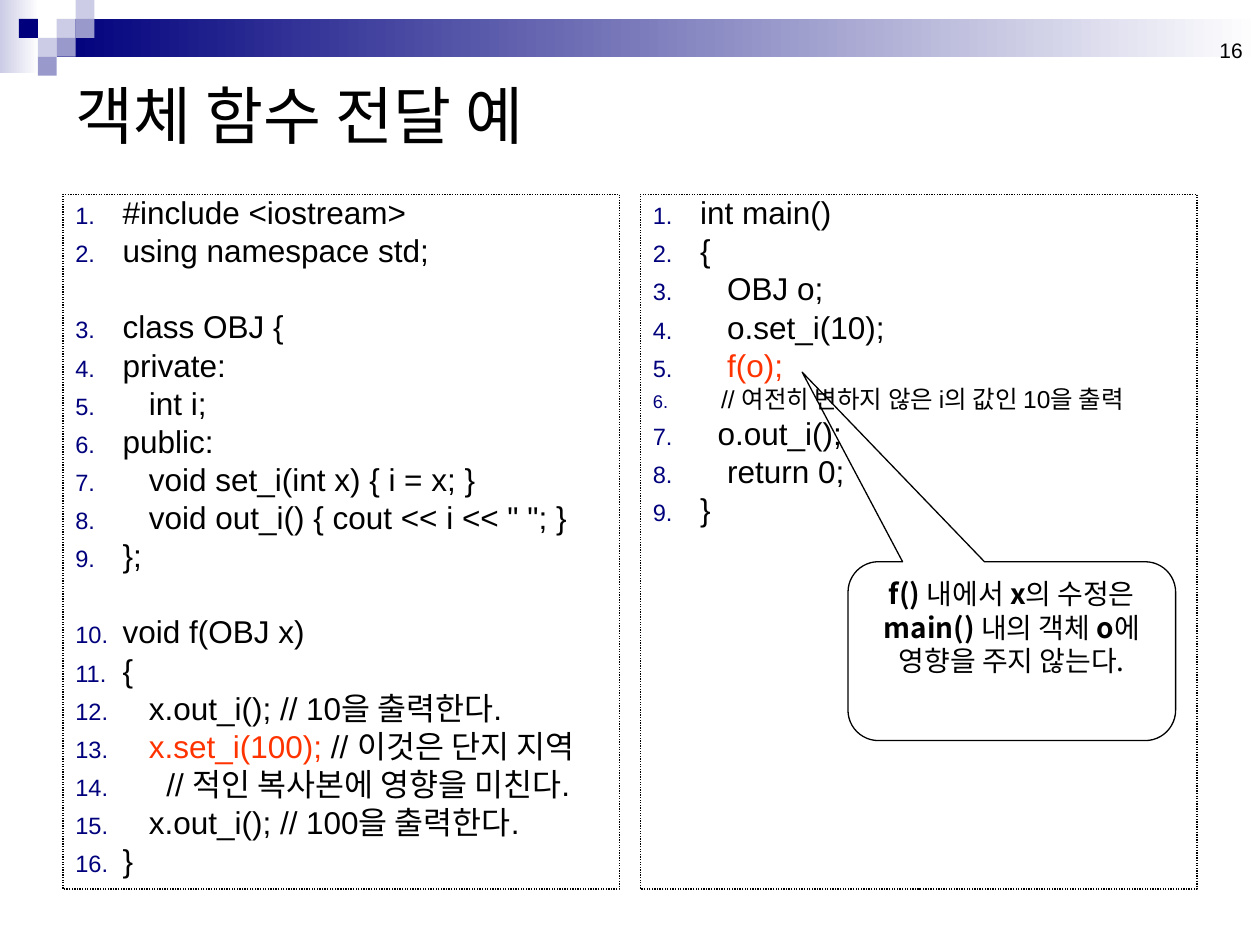
import pptx
import pptx.util
import pptx.dml.color
import pptx.enum.dml
import pptx.enum.shapes
import pptx.enum.text
import lxml.etree

Pt = pptx.util.Pt
SHAPE = pptx.enum.shapes.MSO_SHAPE
ANCHOR = pptx.enum.text.MSO_ANCHOR
ALIGN = pptx.enum.text.PP_ALIGN
RGB = pptx.dml.color.RGBColor.from_string
NS = "http://schemas.openxmlformats.org/drawingml/2006/main"
KOREAN = "Noto Sans CJK KR"
COLORS = {"black": "000000", "white": "FFFFFF", "navy": "00007D",
          "violet": "9999CC", "lilac": "CCCCE6", "red": "FF3300"}


def style_run(run, size, font="Arial", color="black", bold=False):
    run.font.size = Pt(size)
    run.font.name = font
    run.font.bold = bold
    run.font.color.rgb = RGB(COLORS[color])
    latin = run.font._element.find(f"{{{NS}}}latin")
    latin.addnext(lxml.etree.Element(f"{{{NS}}}ea", typeface=KOREAN))


def add_plain_shape(kind, left, top, width, height):
    """Add a shape with no shadow, fill or line."""
    shape = slide.shapes.add_shape(kind, Pt(left), Pt(top), Pt(width), Pt(height))
    shape.shadow.inherit = False
    shape.fill.background()
    shape.line.fill.background()
    return shape


deck = pptx.Presentation()
deck.slide_width, deck.slide_height = Pt(720), Pt(540)
slide = deck.slides.add_slide(deck.slide_layouts[5])

# Header band: two fading bars and a mosaic of squares
for left, top, width, height, start in [(0, 0, 22.3, 41.8, "lilac"),
                                        (32.4, 10.8, 687.6, 21.6, "navy")]:
    bar = add_plain_shape(SHAPE.RECTANGLE, left, top, width, height)
    bar.fill.gradient()
    bar.fill.gradient_angle = 0
    for stop, color in zip(bar.fill.gradient_stops, (start, "white")):
        stop.color.rgb = RGB(COLORS[color])

SQUARE = 10.8
for column, row, color in [(3, 1, "lilac"), (4, 0, "lilac"), (4, 1, "violet"),
                           (2, 2, "lilac"), (1, 1, "navy"), (3, 2, "violet"),
                           (2, 3, "violet")]:
    square = add_plain_shape(SHAPE.RECTANGLE, column * SQUARE, row * SQUARE, SQUARE, SQUARE)
    square.fill.solid()
    square.fill.fore_color.rgb = RGB(COLORS[color])

page_number = slide.shapes.add_textbox(Pt(549.4), Pt(3.6), Pt(167.8), Pt(36)).text_frame
page_number.word_wrap = True
page_number.vertical_anchor = ANCHOR.BOTTOM
page_number.text = "16"
page_number.paragraphs[0].alignment = ALIGN.RIGHT
style_run(page_number.paragraphs[0].runs[0], 12)

title = slide.shapes.title
title.left, title.top, title.width, title.height = Pt(36), Pt(36), Pt(648), Pt(58.3)
title.text_frame.text = "객체 함수 전달 예"
title.text_frame.auto_size = pptx.enum.text.MSO_AUTO_SIZE.NONE
title.text_frame.vertical_anchor = ANCHOR.MIDDLE
title.text_frame.paragraphs[0].alignment = ALIGN.LEFT
style_run(title.text_frame.paragraphs[0].runs[0], 36, KOREAN)

# Code listings: each line is (tab stop or 0, size, space before, coloured parts)
LINE, GAP = 4.5, 26.2
class_code = [
    (0, 18, LINE, [("#include <iostream>", "black")]),
    (0, 18, LINE, [("using namespace std;", "black")]),
    (0, 18, GAP, [("class OBJ {", "black")]),
    (0, 18, LINE, [("private:", "black")]),
    (42, 18, LINE, [("int i;", "black")]),
    (0, 18, LINE, [("public:", "black")]),
    (42, 18, LINE, [("void set_i(int x) { i = x; }", "black")]),
    (42, 18, LINE, [('void out_i() { cout << i << " "; }', "black")]),
    (0, 18, LINE, [("};", "black")]),
    (0, 18, GAP, [("void f(OBJ x)", "black")]),
    (0, 18, LINE, [("{", "black")]),
    (42, 18, LINE, [("x.out_i(); // 10을 출력한다.", "black")]),
    (42, 18, LINE, [("x.set_i(100);", "red"), (" // 이것은 단지 지역", "black")]),
    (52, 18, LINE, [("// 적인 복사본에 영향을 미친다.", "black")]),
    (42, 18, LINE, [("x.out_i(); // 100을 출력한다.", "black")]),
    (0, 18, LINE, [("}", "black")]),
]
main_code = [
    (0, 18, LINE, [("int main()", "black")]),
    (0, 18, LINE, [("{", "black")]),
    (42.5, 18, LINE, [("OBJ o;", "black")]),
    (42.5, 18, LINE, [("o.set_i(10);", "black")]),
    (42.5, 18, LINE, [("f(o);", "red")]),
    (39, 14, 3.5, [("// 여전히 변하지 않은 i의 값인 10을 출력", "black")]),
    (37, 18, LINE, [("o.out_i();", "black")]),
    (42.5, 18, LINE, [("return 0;", "black")]),
    (0, 18, LINE, [("}", "black")]),
]
for left, code in [(36, class_code), (366, main_code)]:
    listing = add_plain_shape(SHAPE.RECTANGLE, left, 111, 318, 397)
    listing.line.color.rgb = RGB(COLORS["black"])
    listing.line.width = Pt(0.75)
    listing.line.dash_style = pptx.enum.dml.MSO_LINE.ROUND_DOT
    listing.text_frame.word_wrap = True
    listing.text_frame.vertical_anchor = ANCHOR.TOP
    for number, (tab_stop, size, space, parts) in enumerate(code):
        line = listing.text_frame.add_paragraph() if number else listing.text_frame.paragraphs[0]
        line.alignment = ALIGN.LEFT
        line.line_spacing = 0.8
        line.space_before = Pt(space)
        for position, (words, color) in enumerate(parts):
            run = line.add_run()
            run.text = "\t" + words if tab_stop and position == 0 else words
            style_run(run, size, color=color)
        properties = line._p.get_or_add_pPr()
        properties.set("marL", str(Pt(27)))
        properties.set("indent", str(Pt(-27)))
        numbering = lxml.etree.fromstring(
            f'<a:x xmlns:a="{NS}"><a:buClr><a:srgbClr val="{COLORS["navy"]}"/></a:buClr>'
            '<a:buSzPct val="75000"/><a:buFont typeface="Arial"/>'
            '<a:buAutoNum type="arabicPeriod"/>'
            f'<a:tabLst><a:tab pos="{Pt(tab_stop or 42)}" algn="l"/></a:tabLst></a:x>')
        properties.extend(list(numbering))

callout = add_plain_shape(SHAPE.ROUNDED_RECTANGULAR_CALLOUT, 484.6, 321, 187.2, 102.2)
for index, value in enumerate((-0.64, -1.56, 0.17)):
    callout.adjustments[index] = value
callout.line.color.rgb = RGB(COLORS["black"])
callout.line.width = Pt(0.75)
callout.text_frame.word_wrap = True
callout.text_frame.vertical_anchor = ANCHOR.TOP
remark = callout.text_frame.paragraphs[0]
remark.alignment = ALIGN.CENTER
for words, bold in [("f() ", True), ("내에서 ", False), ("x", True), ("의 수정은 ", False),
                    ("main() ", True), ("내의 객체 ", False), ("o", True),
                    ("에 영향을 주지 않는다.", False)]:
    run = remark.add_run()
    run.text = words
    style_run(run, 16, KOREAN, bold=bold)

deck.save("out.pptx")
